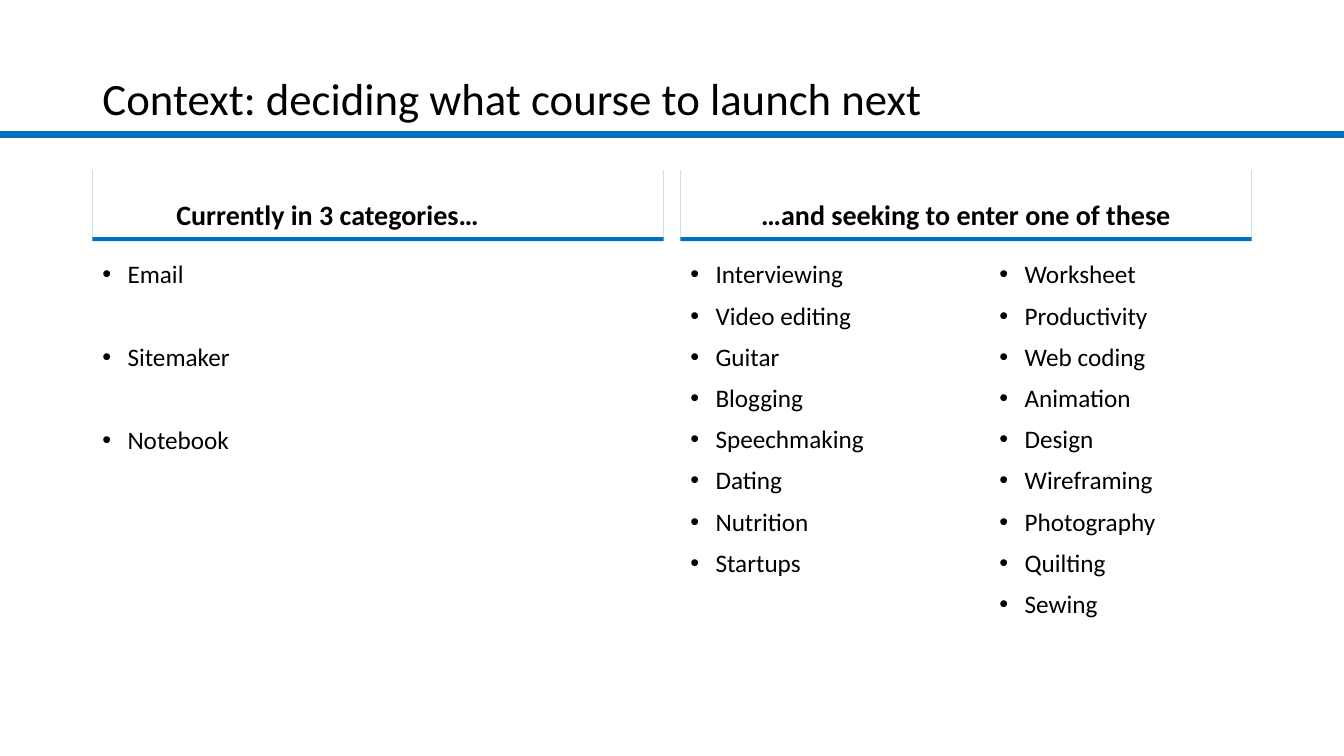
from dataclasses import dataclass

from lxml.etree import SubElement as Sub
from pptx import Presentation
from pptx.dml.color import RGBColor
from pptx.enum.shapes import MSO_CONNECTOR as Conn, MSO_SHAPE as Kind
from pptx.enum.text import MSO_ANCHOR as Anchor, MSO_AUTO_SIZE as Fit, PP_ALIGN as Align
from pptx.oxml.ns import qn
from pptx.util import Emu, Inches, Pt

# Grid of square cells: 160 columns by 90 rows
COLS, ROWS = 160, 90
WIDE, HIGH = Inches(13.333), Inches(7.5)
LEFT, RIGHT, HALF = 11, 81, 68
HEAD, BODY = 19.8, 30.6
FONT, BLUE, BLACK, WHITE = "Calibri", "0070C0", "000000", "FFFFFF"


@dataclass(frozen=True)
class Box:
    col: float
    row: float
    wide: float
    high: float

    def place(self) -> tuple[Emu, Emu, Emu, Emu]:
        return x(self.col), y(self.row), x(self.wide), y(self.high)


@dataclass(frozen=True)
class Header:
    text: str
    col: float
    inset: float = 1.2  # right inset, in columns


@dataclass(frozen=True)
class Topics:
    names: tuple[str, ...]
    col: float
    wide: float
    gap: float = 10  # points before each later item


def x(cols: float) -> Emu:
    return Emu(round(WIDE * cols / COLS))


def y(rows: float) -> Emu:
    return Emu(round(HIGH * rows / ROWS))


def color(code: str) -> RGBColor:
    return RGBColor.from_string(code)


def write(para, text: str, size: float, bold: bool = False,
          align: Align = Align.LEFT, gap: float = 0) -> None:
    para.alignment, para.line_spacing, para.space_before = align, 0.9, Pt(gap)
    run = para.add_run()
    run.text = text
    font = run.font
    font.name, font.size, font.bold = FONT, Pt(size), bold
    font.color.rgb = color(BLACK)


def bullet(para) -> None:
    props = para._p.get_or_add_pPr()
    props.set("marL", str(Inches(0.25)))
    props.set("indent", str(-Inches(0.25)))
    Sub(props, qn("a:buFont")).set("typeface", "Arial")
    Sub(props, qn("a:buChar")).set("char", "•")


def add_head(slide, head: Header) -> None:
    box = Box(head.col, HEAD, HALF, 8.4)
    shape = slide.shapes.add_shape(Kind.RECTANGLE, *box.place())
    shape.fill.solid()
    shape.fill.fore_color.rgb = color(WHITE)
    shape.line.fill.background()
    # Hard shadow below the box serves as the underline
    shape.shadow.inherit = False
    effects = shape._element.spPr.find(qn("a:effectLst"))
    shade = Sub(effects, qn("a:outerShdw"), blurRad="0", dist=str(Pt(3)),
                dir="5400000", algn="t", rotWithShape="0")
    Sub(shade, qn("a:srgbClr"), val=BLUE)
    frame = shape.text_frame
    frame.word_wrap, frame.vertical_anchor = True, Anchor.BOTTOM
    frame.margin_right = x(head.inset)
    write(frame.paragraphs[0], head.text, 20, True, Align.CENTER, 10)


def add_list(slide, topics: Topics) -> None:
    box = Box(topics.col, BODY, topics.wide, 50.5)
    frame = slide.shapes.add_textbox(*box.place()).text_frame
    frame.word_wrap = True
    for i, name in enumerate(topics.names):
        para = frame.add_paragraph() if i else frame.paragraphs[0]
        write(para, name, 18, gap=topics.gap if i else 10)
        bullet(para)


def add_rule(slide, row: float) -> None:
    rule = slide.shapes.add_connector(Conn.STRAIGHT, 0, y(row), WIDE, y(row))
    rule.line.color.rgb, rule.line.width = color(BLUE), Pt(4.5)
    Sub(rule._element.spPr, qn("a:effectLst"))


def set_title(slide, text: str) -> None:
    title = slide.shapes.title
    title.left, title.top, title.width, title.height = Box(LEFT, 4.9, 138, 10.6).place()
    frame = title.text_frame
    frame.word_wrap, frame.auto_size = True, Fit.NONE
    frame.vertical_anchor = Anchor.BOTTOM
    write(frame.paragraphs[0], text, 32)


HEADS = (
    Header("Currently in 3 categories…", LEFT, 13.2),
    Header("…and seeking to enter one of these", RIGHT),
)
LISTS = (
    Topics(("Email", "Sitemaker", "Notebook"), LEFT, HALF, 39.8),
    Topics(("Interviewing", "Video editing", "Guitar", "Blogging",
            "Speechmaking", "Dating", "Nutrition", "Startups"), RIGHT, 23.4),
    Topics(("Worksheet", "Productivity", "Web coding", "Animation", "Design",
            "Wireframing", "Photography", "Quilting", "Sewing"), 117.8, 27.5),
)

deck = Presentation()
deck.slide_width, deck.slide_height = WIDE, HIGH
page = deck.slides.add_slide(deck.slide_layouts[5])

# Title and rule
add_rule(page, 16)
set_title(page, "Context: deciding what course to launch next")

# Headers and topic lists
for item in HEADS:
    add_head(page, item)
for item in LISTS:
    add_list(page, item)

deck.save("out.pptx")
